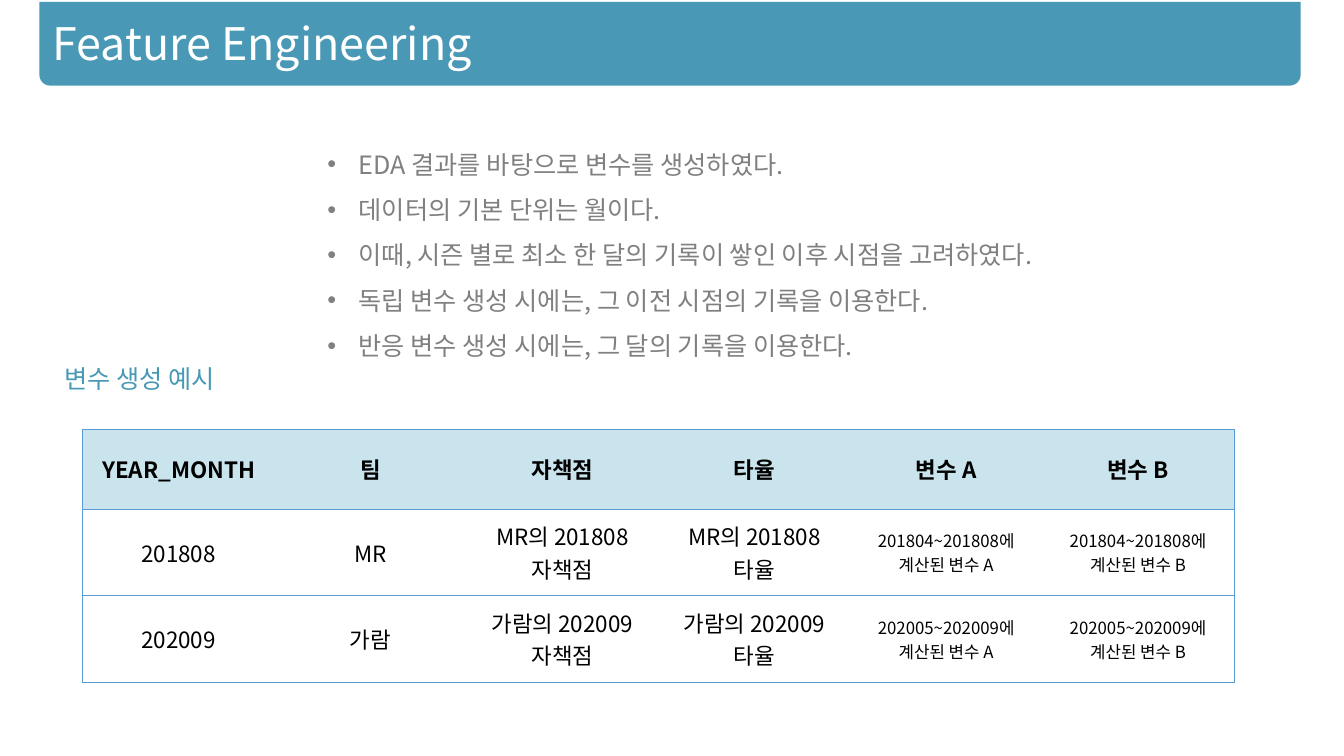
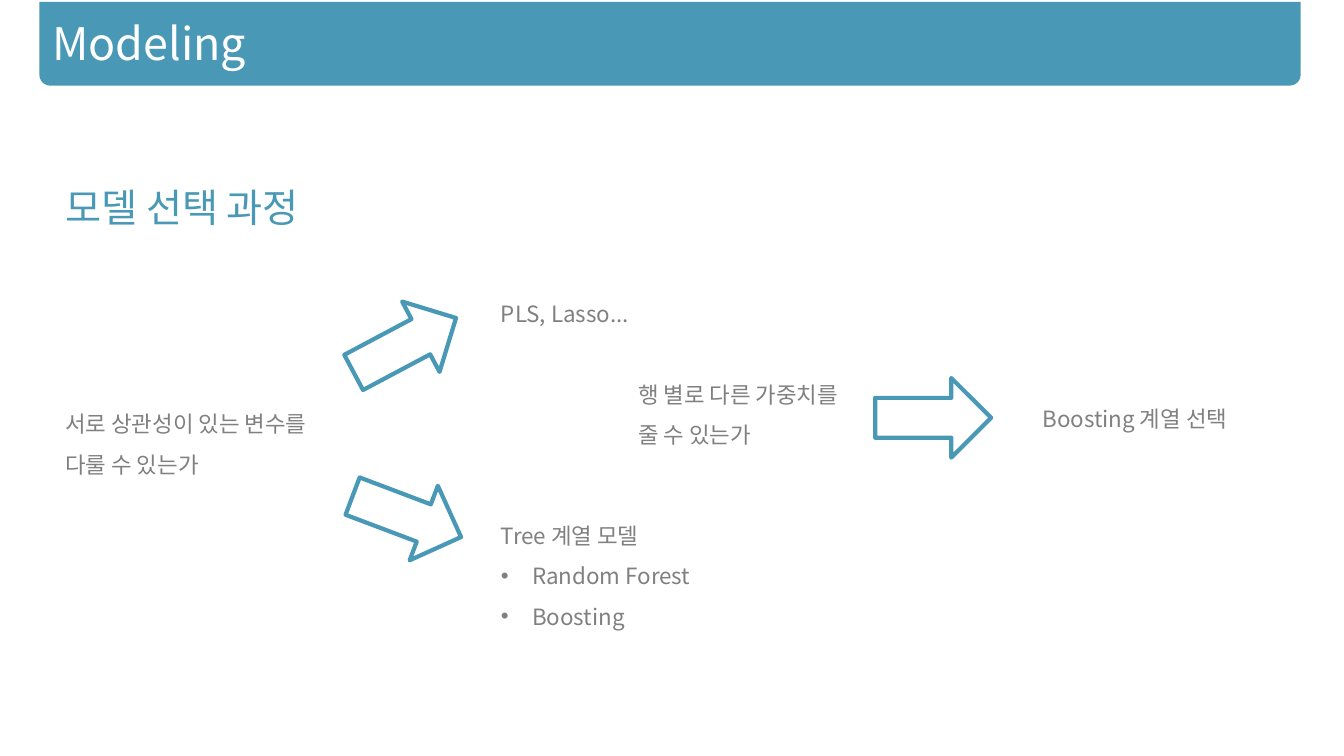
from dataclasses import dataclass

import lxml.etree
import pptx
import pptx.dml.color
import pptx.enum.shapes
import pptx.enum.text
import pptx.oxml.ns
import pptx.util

Inches = pptx.util.Inches
Pt = pptx.util.Pt
RGB = pptx.dml.color.RGBColor
Align = pptx.enum.text.PP_ALIGN
Anchor = pptx.enum.text.MSO_ANCHOR
Shape = pptx.enum.shapes.MSO_SHAPE
qn = pptx.oxml.ns.qn


@dataclass(frozen=True)
class Theme:
    font: str = "Noto Sans CJK KR"
    accent: str = "4999B6"
    gray: str = "808080"
    black: str = "000000"
    white: str = "FFFFFF"
    header: str = "C9E4ED"
    border: str = "5B9BD5"
    title: int = 32
    heading: int = 28
    body: int = 18
    label: int = 16
    small: int = 12


THEME = Theme()


@dataclass(frozen=True)
class TextBlock:
    left: float
    top: float
    width: float
    height: float
    text: str
    size: int = THEME.label
    color: str = THEME.gray
    bullets_from: int = 99  # index of the first bulleted line


@dataclass(frozen=True)
class Arrow:
    left: float
    top: float
    rotation: float = 0


# Slide content
FEATURE_TEXTS = [
    TextBlock(3.15, 1.28, 7.67, 2.33,
              "EDA 결과를 바탕으로 변수를 생성하였다.\n"
              "데이터의 기본 단위는 월이다.\n"
              "이때, 시즌 별로 최소 한 달의 기록이 쌓인 이후 시점을 고려하였다.\n"
              "독립 변수 생성 시에는, 그 이전 시점의 기록을 이용한다.\n"
              "반응 변수 생성 시에는, 그 달의 기록을 이용한다.",
              THEME.body, bullets_from=0),
    TextBlock(0.54, 3.4, 2.36, 0.51, "변수 생성 예시", THEME.body, THEME.accent),
]
TABLE_HEADER = ["YEAR_MONTH", "팀", "자책점", "타율", "변수 A", "변수 B"]
# Month, team, team with its particle, first month of the season
TABLE_RECORDS = [
    ("201808", "MR", "MR의", "201804"),
    ("202009", "가람", "가람의", "202005"),
]
MODEL_TEXTS = [
    TextBlock(0.55, 1.54, 2.77, 0.74, "모델 선택 과정", THEME.heading, THEME.accent),
    TextBlock(0.55, 3.89, 2.77, 0.87, "서로 상관성이 있는 변수를\n다룰 수 있는가"),
    TextBlock(4.87, 2.8, 1.8, 0.47, "PLS, Lasso..."),
    TextBlock(4.87, 5, 2.55, 1.27, "Tree 계열 모델\nRandom Forest\nBoosting",
              bullets_from=1),
    TextBlock(6.23, 3.6, 2.22, 0.87, "행 별로 다른 가중치를\n줄 수 있는가"),
    TextBlock(10.24, 3.84, 2.55, 0.47, "Boosting 계열 선택"),
]
MODEL_ARROWS = [Arrow(3.44, 3.03, 332), Arrow(3.46, 4.73, 20.7), Arrow(8.68, 3.75)]


def rgb(color: str) -> RGB:
    return RGB.from_string(color)


def write_text(tf, text: str, *, size: int, color: str, bold: bool = False,
               align=Align.LEFT, spacing: float = 1.0, bullets_from: int = 99) -> None:
    """Fill a text frame with one paragraph per line."""
    for i, line in enumerate(text.split("\n")):
        p = tf.add_paragraph() if i else tf.paragraphs[0]
        p.alignment = align
        p.line_spacing = spacing
        if i >= bullets_from:
            pPr = p._p.get_or_add_pPr()
            indent = Inches(0.31)
            pPr.set("marL", str(indent))
            pPr.set("indent", str(-indent))
            lxml.etree.SubElement(pPr, qn("a:buFont")).set("typeface", "Arial")
            lxml.etree.SubElement(pPr, qn("a:buChar")).set("char", "•")
        r = p.add_run()
        r.text = line
        r.font.size = Pt(size)
        r.font.bold = bold
        r.font.color.rgb = rgb(color)
        r.font.name = THEME.font
        ea = lxml.etree.SubElement(r.font._element, qn("a:ea"))
        ea.set("typeface", THEME.font)


def add_slide(prs, title: str):
    """Add a blank slide with the title band."""
    slide = prs.slides.add_slide(prs.slide_layouts[6])
    sp = slide.shapes.add_shape(Shape.ROUND_2_SAME_RECTANGLE, Inches(0.39),
                                Inches(0.02), Inches(12.51), Inches(0.83))
    sp.adjustments[0] = 0
    sp.adjustments[1] = 0.13
    sp.shadow.inherit = False
    sp.fill.solid()
    sp.fill.fore_color.rgb = rgb(THEME.accent)
    sp.line.fill.background()
    sp.text_frame.vertical_anchor = Anchor.MIDDLE
    write_text(sp.text_frame, title, size=THEME.title, color=THEME.white)
    return slide


def add_text(slide, block: TextBlock) -> None:
    sp = slide.shapes.add_textbox(Inches(block.left), Inches(block.top),
                                  Inches(block.width), Inches(block.height))
    tf = sp.text_frame
    tf.word_wrap = True
    tf.auto_size = pptx.enum.text.MSO_AUTO_SIZE.SHAPE_TO_FIT_TEXT
    write_text(tf, block.text, size=block.size, color=block.color,
               spacing=1.5, bullets_from=block.bullets_from)


def add_arrow(slide, arrow: Arrow) -> None:
    sp = slide.shapes.add_shape(Shape.RIGHT_ARROW, Inches(arrow.left),
                                Inches(arrow.top), Inches(1.15), Inches(0.79))
    sp.rotation = arrow.rotation
    sp.shadow.inherit = False
    sp.fill.background()
    sp.line.color.rgb = rgb(THEME.accent)
    sp.line.width = Pt(3)


def set_borders(cell, visible: str) -> None:
    """Draw the named sides (L, R, T, B) and hide the others."""
    tcPr = cell._tc.get_or_add_tcPr()
    for i, side in enumerate("LRTB"):
        ln = lxml.etree.Element(qn(f"a:ln{side}"))
        if side in visible:
            ln.set("w", str(Pt(0.5)))
            fill = lxml.etree.SubElement(ln, qn("a:solidFill"))
            lxml.etree.SubElement(fill, qn("a:srgbClr")).set("val", THEME.border)
        else:
            ln.set("w", "0")
            lxml.etree.SubElement(ln, qn("a:noFill"))
        tcPr.insert(i, ln)


def add_example_table(slide) -> None:
    rows = [TABLE_HEADER]
    for month, team, owner, start in TABLE_RECORDS:
        rows.append([month, team]
                    + [f"{owner} {month}\n{stat}" for stat in TABLE_HEADER[2:4]]
                    + [f"{start}~{month}에\n계산된 {var}" for var in TABLE_HEADER[4:]])
    last = len(TABLE_HEADER) - 1
    table = slide.shapes.add_table(len(rows), last + 1, Inches(0.82), Inches(4.26),
                                   Inches(11.42), Inches(2.51)).table
    for row, height in zip(table.rows, (0.79, 0.86, 0.86)):
        row.height = Inches(height)
    for i, row in enumerate(rows):
        for j, text in enumerate(row):
            cell = table.cell(i, j)
            cell.vertical_anchor = Anchor.MIDDLE
            cell.fill.solid()
            cell.fill.fore_color.rgb = rgb(THEME.white if i else THEME.header)
            set_borders(cell, "TB" + "L" * (j == 0) + "R" * (j == last))
            write_text(cell.text_frame, text, color=THEME.black, bold=i == 0,
                       size=THEME.small if i and j >= 4 else THEME.label,
                       align=Align.CENTER)


def main() -> None:
    prs = pptx.Presentation()
    prs.slide_width = Inches(13.33)
    prs.slide_height = Inches(7.5)

    # Feature engineering
    slide = add_slide(prs, "Feature Engineering")
    add_example_table(slide)
    for block in FEATURE_TEXTS:
        add_text(slide, block)

    # Model selection
    slide = add_slide(prs, "Modeling")
    for block in MODEL_TEXTS:
        add_text(slide, block)
    for arrow in MODEL_ARROWS:
        add_arrow(slide, arrow)

    prs.save("out.pptx")


if __name__ == "__main__":
    main()
